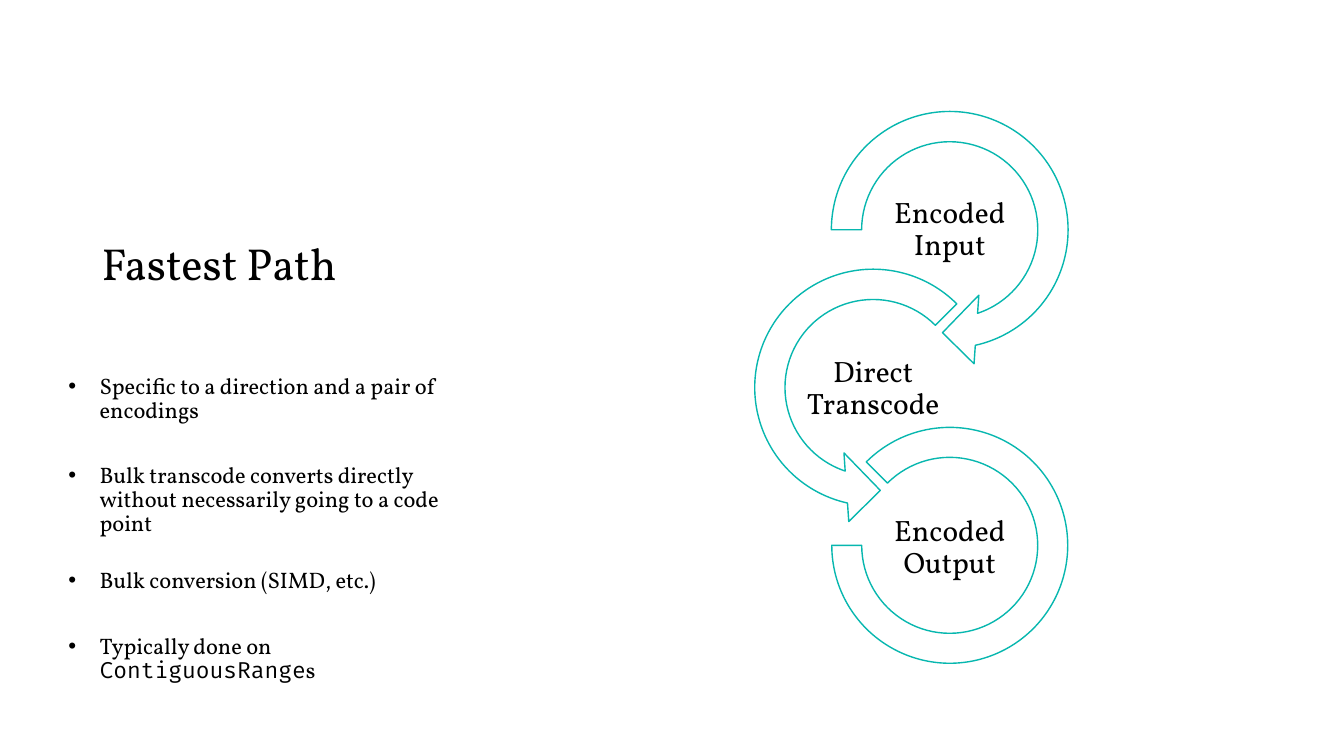
from lxml.etree import SubElement
from pptx import Presentation
from pptx.dml.color import RGBColor
from pptx.enum.shapes import MSO_SHAPE
from pptx.enum.text import MSO_ANCHOR, PP_ALIGN
from pptx.oxml.ns import qn
from pptx.util import Inches, Pt

# Content
COLOURS = {"text": "000000", "line": "07B7AF", "fill": "FFFFFF"}
SERIF, CODE = "Vollkorn", "Fira Code"
TITLE = "Fastest Path"
# Space before in points, then (text, font) runs
BULLETS = [
    (0, [("Specific to a direction and a pair of encodings", SERIF)]),
    (29.3, [("Bulk transcode converts directly without necessarily "
             "going to a code point", SERIF)]),
    (23.4, [("Bulk conversion (SIMD, etc.)", SERIF)]),
    (29.3, [("Typically done on ", SERIF), ("ContiguousRange", CODE), ("s", SERIF)]),
]
# Label, shape, centre x, size, adjustments
STAGES = [
    ("Encoded Input", MSO_SHAPE.CIRCULAR_ARROW, 9.42, 2.73,
     (0.11, 11.42, 45, 108, 0.125)),
    ("Direct Transcode", MSO_SHAPE.LEFT_CIRCULAR_ARROW, 8.66, 2.73,
     (0.11, 11.42, 63, 189, 0.125)),
    ("Encoded Output", MSO_SHAPE.BLOCK_ARC, 9.42, 2.34, (135, 108, 0.127)),
]
FIRST_CENTRE, CENTRE_STEP = 2.28, 1.565
FIRST_LABEL, LABEL_STEP = 1.9, 1.58
LABEL_WIDTH, LABEL_HEIGHT = 1.52, 0.76
INDENT = 0.31

presentation = Presentation()
presentation.slide_width, presentation.slide_height = Inches(13.33), Inches(7.5)
slide = presentation.slides.add_slide(presentation.slide_layouts[6])


def colour(name):
    return RGBColor.from_string(COLOURS[name])


def add_frame(left, top, width, height, **settings):
    box = slide.shapes.add_textbox(*map(Inches, (left, top, width, height)))
    for name, value in {"word_wrap": True, **settings}.items():
        setattr(box.text_frame, name, value)
    return box.text_frame


def write(paragraph, runs, size, **settings):
    for name, value in {"line_spacing": 0.9, **settings}.items():
        setattr(paragraph, name, value)
    for text, font_name in runs:
        run = paragraph.add_run()
        run.text = text
        for name, value in {"name": font_name, "size": Pt(size)}.items():
            setattr(run.font, name, value)
        run.font.color.rgb = colour("text")


def add_bullet(paragraph):
    properties = paragraph._p.get_or_add_pPr()
    properties.set("marL", str(Inches(INDENT)))
    properties.set("indent", str(-Inches(INDENT)))
    SubElement(properties, qn("a:buFont"), typeface="Arial")
    SubElement(properties, qn("a:buChar"), char="•")


# Title
title = add_frame(0.91, 0.83, 3.58, 2.1, vertical_anchor=MSO_ANCHOR.BOTTOM)
write(title.paragraphs[0], [(TITLE, SERIF)], 32)

# Bullet list
body = add_frame(0.58, 3.67, 3.92, 3.5)
for index, (space, runs) in enumerate(BULLETS):
    paragraph = body.add_paragraph() if index else body.paragraphs[0]
    add_bullet(paragraph)
    write(paragraph, runs, 16, space_before=Pt(space))

# Chain of circular stages with their labels
margins = {f"margin_{side}": Inches(0.01) for side in ("left", "top", "right", "bottom")}
for index, (label, kind, centre, size, adjustments) in enumerate(STAGES):
    top = FIRST_CENTRE + index * CENTRE_STEP - size / 2
    shape = slide.shapes.add_shape(
        kind, *map(Inches, (centre - size / 2, top, size, size)))
    for position, value in enumerate(adjustments):
        shape.adjustments[position] = value
    shape.shadow.inherit = False
    shape.fill.solid()
    shape.fill.fore_color.rgb = colour("fill")
    shape.line.color.rgb = colour("line")
    shape.line.width = Pt(1)

    frame = add_frame(centre - LABEL_WIDTH / 2, FIRST_LABEL + index * LABEL_STEP,
                      LABEL_WIDTH, LABEL_HEIGHT,
                      vertical_anchor=MSO_ANCHOR.MIDDLE, **margins)
    write(frame.paragraphs[0], [(label, SERIF)], 21, alignment=PP_ALIGN.CENTER)

presentation.save("out.pptx")
